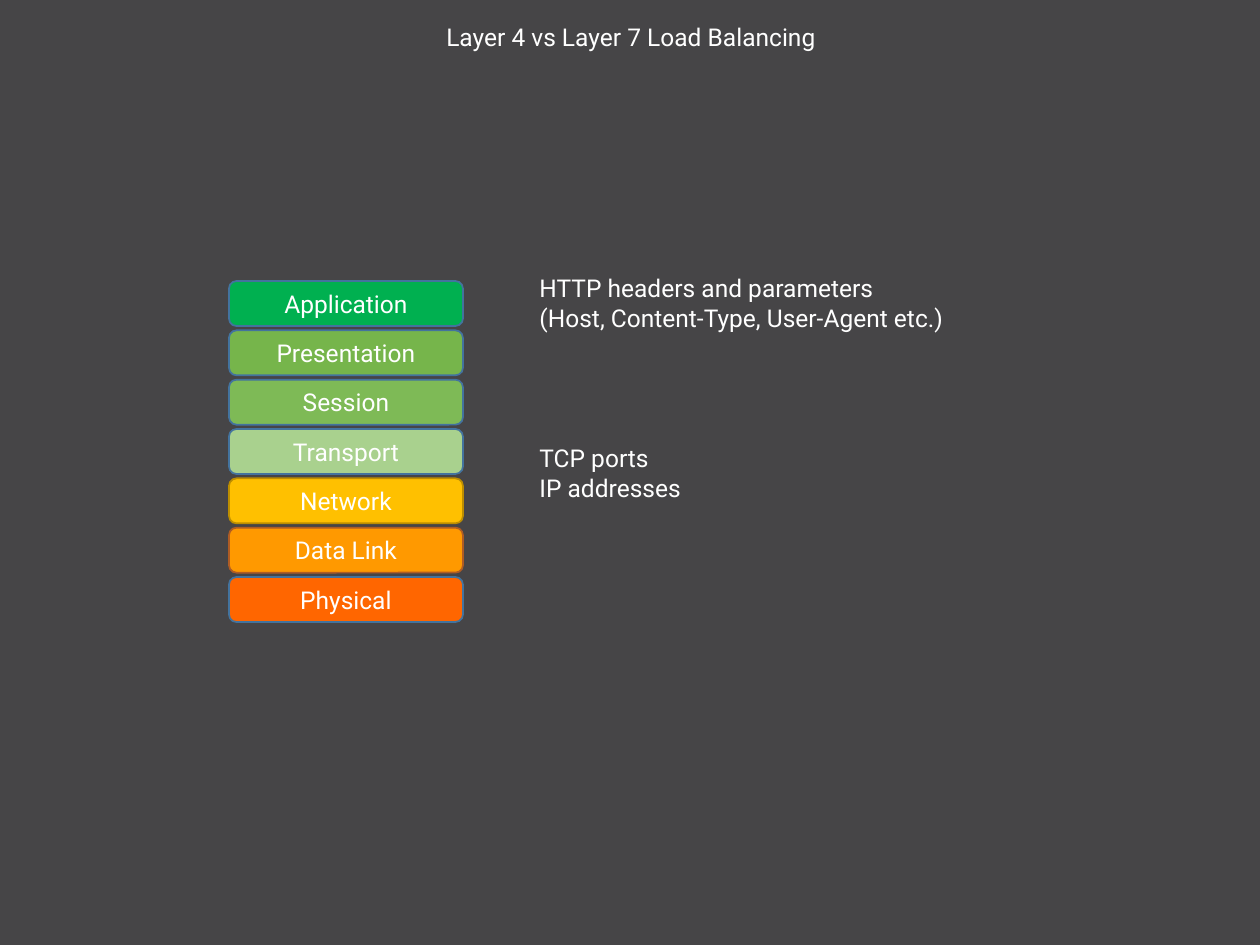
from pptx import Presentation
from pptx.dml.color import RGBColor
from pptx.enum.shapes import MSO_SHAPE
from pptx.enum.text import MSO_ANCHOR, PP_ALIGN
from pptx.util import Emu, Pt

PX_PER_INCH = 126
COLORS = {
    "background": "464547", "text": "FFFFFF",
    "blue": "43739E", "gold": "BD8E00", "brown": "AF5C24",
    "Application": "00B050", "Presentation": "76B54B", "Session": "7EBA56",
    "Transport": "A9D18E", "Network": "FFC000", "Data Link": "FF9900",
    "Physical": "FF6600",
}
LAYERS = ["Application", "Presentation", "Session", "Transport",
          "Network", "Data Link", "Physical"]
OUTLINES = {"Network": "gold", "Data Link": "brown"}
FONT = {"name": "Roboto", "size": Pt(14), "bold": False}


def px(n):
    return Emu(round(n * 914400 / PX_PER_INCH))


def color(name):
    return RGBColor.from_string(COLORS[name])


def write(tf, lines, align, anchor, spacing=1.0):
    tf.word_wrap = True
    tf.vertical_anchor = anchor
    for i, line in enumerate(lines):
        p = tf.paragraphs[0] if i == 0 else tf.add_paragraph()
        p.alignment, p.line_spacing = align, spacing
        r = p.add_run()
        r.text = line
        for key, value in FONT.items():
            setattr(r.font, key, value)
        r.font.color.rgb = color("text")


def add_title(s, text, x, y, w, h):
    sp = s.shapes.title
    sp.left, sp.top, sp.width, sp.height = map(px, (x, y, w, h))
    write(sp.text_frame, [text], PP_ALIGN.CENTER, MSO_ANCHOR.MIDDLE, 0.9)


def add_layer_stack(s, x, y, w, h, bar_h=45):
    """Spread the layer bars evenly from the top to the bottom of the box."""
    pitch = (h - bar_h) / (len(LAYERS) - 1)
    for i, layer in enumerate(LAYERS):
        sp = s.shapes.add_shape(MSO_SHAPE.ROUNDED_RECTANGLE,
                                px(x), px(y + i * pitch), px(w), px(bar_h))
        sp.shadow.inherit = False
        sp.fill.solid()
        sp.fill.fore_color.rgb = color(layer)
        sp.line.color.rgb = color(OUTLINES.get(layer, "blue"))
        sp.line.width = Pt(1)
        write(sp.text_frame, [layer], PP_ALIGN.CENTER, MSO_ANCHOR.MIDDLE)


def add_note(s, lines, x, y, w, h):
    sp = s.shapes.add_textbox(px(x), px(y), px(w), px(h))
    write(sp.text_frame, lines, PP_ALIGN.LEFT, MSO_ANCHOR.TOP)


def main():
    prs = Presentation()
    prs.slide_width, prs.slide_height = px(1260), px(945)
    s = prs.slides.add_slide(prs.slide_layouts[5])
    s.background.fill.solid()
    s.background.fill.fore_color.rgb = color("background")

    add_title(s, "Layer 4 vs Layer 7 Load Balancing", 256, 14, 750, 50)
    add_layer_stack(s, 229, 281, 234, 341)
    add_note(s, ["HTTP headers and parameters",
                 "(Host, Content-Type, User-Agent etc.)"], 527, 267, 447, 72)
    add_note(s, ["TCP ports", "IP addresses"], 527, 437, 271, 72)
    prs.save("out.pptx")


if __name__ == "__main__":
    main()
